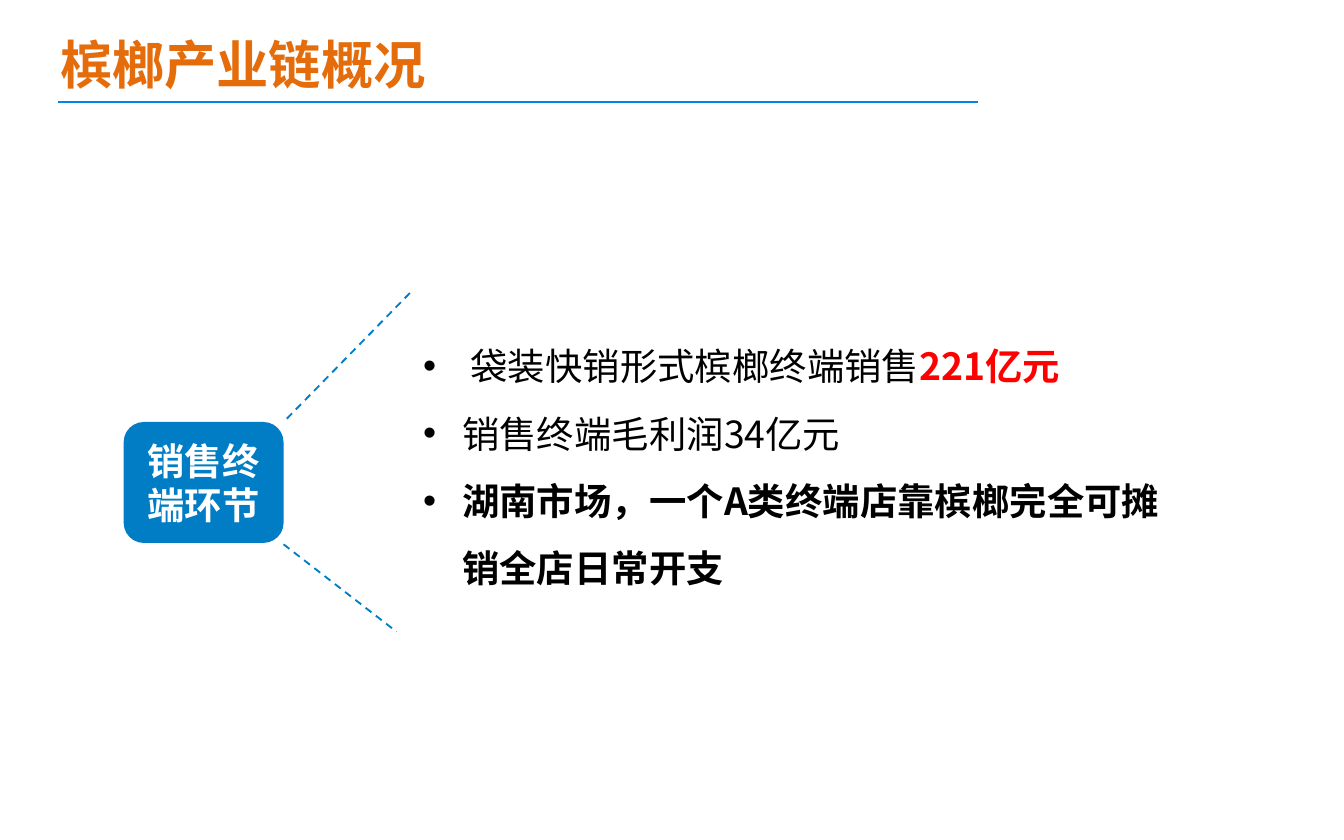
from lxml import etree
from pptx import Presentation
from pptx.dml.color import RGBColor
from pptx.enum.dml import MSO_LINE
from pptx.enum.shapes import MSO_CONNECTOR, MSO_SHAPE
from pptx.enum.text import MSO_ANCHOR, PP_ALIGN
from pptx.oxml.ns import qn
from pptx.util import Inches, Pt

BLUE = RGBColor(0x00, 0x7D, 0xC4)
RULE_BLUE = RGBColor(0x00, 0x87, 0xE6)
ORANGE = RGBColor(0xE4, 0x6C, 0x0A)
RED = RGBColor(0xFF, 0x00, 0x00)
BLACK = RGBColor(0x00, 0x00, 0x00)
WHITE = RGBColor(0xFF, 0xFF, 0xFF)
CJK = "Noto Sans CJK SC"


def add_run(paragraph, text, color, **formats):
    run = paragraph.add_run()
    run.text = text
    run.font.color.rgb = color
    for key, value in ({"name": CJK, "size": Pt(20), "bold": True} | formats).items():
        setattr(run.font, key, value)
    etree.SubElement(run.font._element, qn("a:ea")).set("typeface", CJK)


def add_line(start, end, color, dash=None):
    line = slide.shapes.add_connector(
        MSO_CONNECTOR.STRAIGHT, *[Inches(v) for v in (*start, *end)])
    line.line.color.rgb = color
    line.line.width = Pt(1)
    if dash:
        line.line.dash_style = dash
    etree.SubElement(line._element.spPr, qn("a:effectLst"))


prs = Presentation()
prs.slide_width = Inches(10)
prs.slide_height = Inches(6.25)
slide = prs.slides.add_slide(prs.slide_layouts[6])

add_line((2.11, 4.05), (2.95, 4.7), BLUE, MSO_LINE.DASH)
add_line((3.05, 2.18), (2.11, 3.14), BLUE, MSO_LINE.DASH)

stage = slide.shapes.add_shape(
    MSO_SHAPE.ROUNDED_RECTANGLE, Inches(0.92), Inches(3.14), Inches(1.19), Inches(0.9))
stage.shadow.inherit = False
stage.fill.solid()
stage.fill.fore_color.rgb = BLUE
stage.line.fill.background()
stage.text_frame.word_wrap = True
stage.text_frame.vertical_anchor = MSO_ANCHOR.MIDDLE
stage_label = stage.text_frame.paragraphs[0]
stage_label.alignment = PP_ALIGN.CENTER
add_run(stage_label, "销售终端环节", WHITE)

points = [
    [(" 袋装快销形式槟榔终端销售", BLACK, False), ("221亿元", RED, True)],
    [("销售终端毛利润34亿元", BLACK, False)],
    [("湖南市场，一个A类终端店靠槟榔完全可摊销全店日常开支", BLACK, True)],
]
details = slide.shapes.add_textbox(
    Inches(3.05), Inches(2.34), Inches(5.81), Inches(2.12)).text_frame
details.word_wrap = True
for index, parts in enumerate(points):
    point = details.add_paragraph() if index else details.paragraphs[0]
    point.line_spacing = 1.5
    layout = point._p.get_or_add_pPr()
    layout.set("marL", str(Inches(0.29)))
    layout.set("indent", str(-Inches(0.29)))
    etree.SubElement(layout, qn("a:buFont")).set("typeface", "Arial")
    etree.SubElement(layout, qn("a:buChar")).set("char", "•")
    for text, color, bold in parts:
        add_run(point, text, color, bold=bold)

add_line((0.43, 0.76), (7.28, 0.76), RULE_BLUE)

title = slide.shapes.add_textbox(
    Inches(0.35), Inches(0.19), Inches(6.93), Inches(0.57)).text_frame
title.word_wrap = True
add_run(title.paragraphs[0], "槟榔产业链概况", ORANGE, name="Calibri", size=Pt(28))

prs.save("out.pptx")
